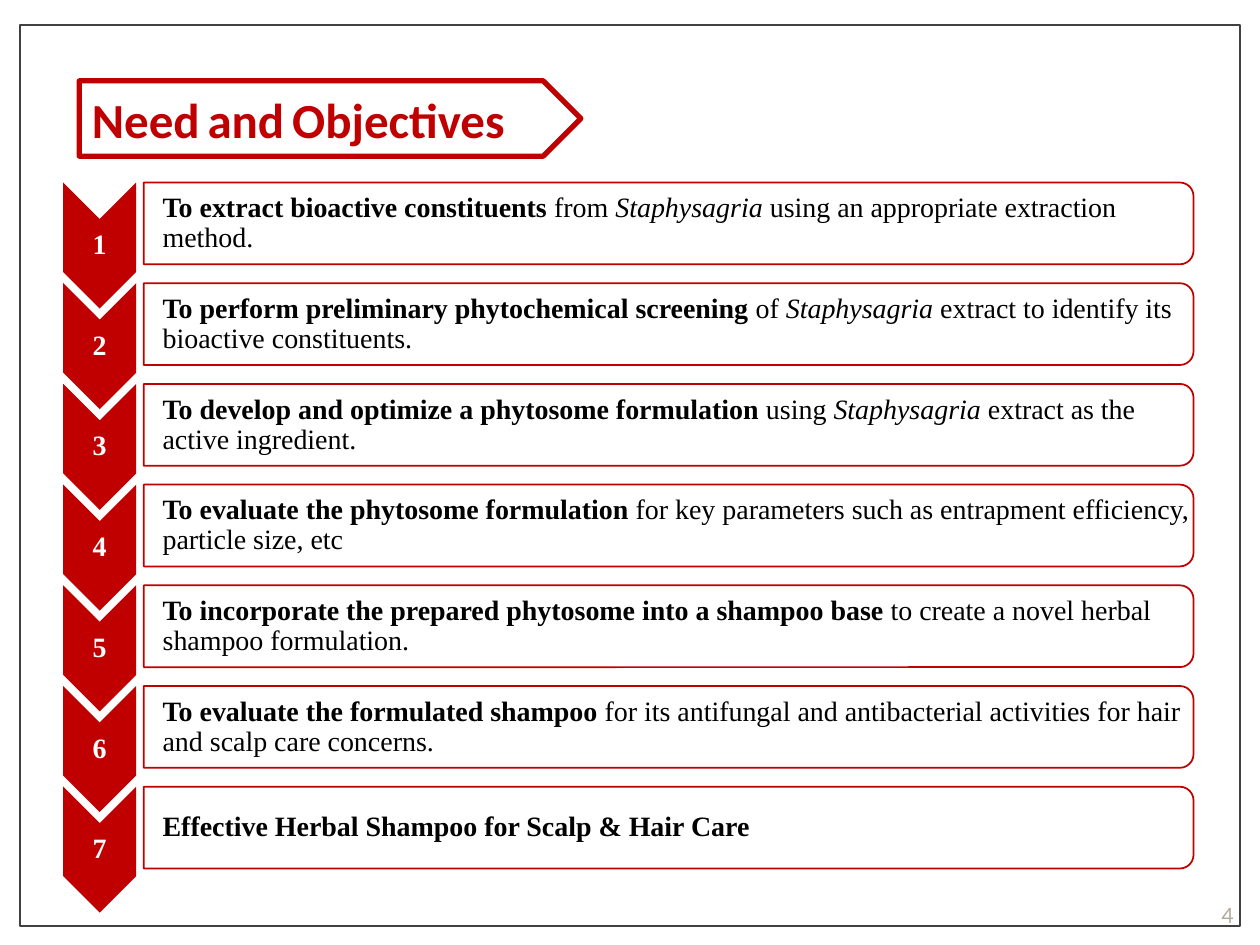
from pptx import Presentation
from pptx.util import Cm, Pt
from pptx.dml.color import RGBColor
from pptx.enum import shapes, text

# Content: (bold lead, plain text, italic species name, plain text)
TITLE = ["Need", "and", "Objectives"]
PAGE = "4"
SPECIES = "Staphysagria"
OBJECTIVES = [
    ("To extract bioactive constituents ", "from ", SPECIES,
     " using an appropriate extraction method."),
    ("To perform preliminary phytochemical screening", " of ", SPECIES,
     " extract to identify its bioactive constituents."),
    ("To develop and optimize a phytosome formulation", " using ", SPECIES,
     " extract as the active ingredient."),
    ("To evaluate the phytosome formulation",
     " for key parameters such as entrapment efficiency, particle size, etc"),
    ("To incorporate the prepared phytosome into a shampoo base",
     " to create a novel herbal shampoo formulation."),
    ("To evaluate the formulated shampoo ",
     "for its antifungal and antibacterial activities for hair and scalp care concerns."),
    ("Effective Herbal Shampoo for Scalp & Hair Care",),
]
COLORS = {"red": "C00000", "teal": "169C9A", "white": "FFFFFF",
          "black": "000000", "frame": "41423F", "page": "B1AB9E"}
SERIF = "Times New Roman"

# Layout in centimetres
PLATE = (1.6, 1.63, 10.11, 1.52)
ROW_TOP, PITCH, ROW_H = 3.68, 2.03, 1.65
CARD_LEFT, CARD_W = 2.9, 21.16
CHEVRON_W, CHEVRON_H, CHEVRON_MID = 1.47, 2.54, 2.01
CHEVRON_DROP = 1.27  # row top to chevron centre


def rgb(name):
    return RGBColor.from_string(COLORS[name])


def style(font, size, name, color, bold=None):
    font.size, font.name, font.bold = Pt(size), name, bold
    font.color.rgb = rgb(color)


def add_shape(s, kind, box, fill=None, line=None, width=1):
    sp = s.shapes.add_shape(kind, *map(Cm, box))
    sp.shadow.inherit = False
    if fill:
        sp.fill.solid()
        sp.fill.fore_color.rgb = rgb(fill)
    else:
        sp.fill.background()
    if line:
        sp.line.color.rgb = rgb(line)
        sp.line.width = Pt(width)
    else:
        sp.line.fill.background()
    return sp


def add_turned(s, kind, cx, cy, w, h, **look):
    """Shape seen as w by h around its centre, turned a quarter clockwise."""
    sp = add_shape(s, kind, (cx - h / 2, cy - w / 2, h, w), **look)
    sp.rotation = 90
    return sp


def add_text(s, box, align, left=0.05, margin=0.05):
    tf = s.shapes.add_textbox(*map(Cm, box)).text_frame
    tf.word_wrap = True
    tf.vertical_anchor = text.MSO_ANCHOR.MIDDLE
    tf.margin_left = Cm(left)
    tf.margin_top = tf.margin_right = tf.margin_bottom = Cm(margin)
    p = tf.paragraphs[0]
    p.alignment = align
    return p


def add_objective(s, i, parts):
    top = ROW_TOP + i * PITCH
    mid = top + CHEVRON_DROP

    # Numbered chevron
    add_turned(s, shapes.MSO_SHAPE.CHEVRON, CHEVRON_MID, mid,
               CHEVRON_W, CHEVRON_H, fill="red")
    p = add_text(s, (CHEVRON_MID - 0.55, mid - 0.38, 1.1, 0.76), text.PP_ALIGN.CENTER)
    p.line_spacing = 0.9
    p.add_run().text = str(i + 1)
    style(p.font, 16, SERIF, "white", True)

    # Outlined card and its wording
    add_turned(s, shapes.MSO_SHAPE.ROUND_2_SAME_RECTANGLE, CARD_LEFT + CARD_W / 2,
               top + ROW_H / 2, CARD_W, ROW_H, line="red")
    p = add_text(s, (2.72, top + 0.08, 21.34, 1.5), text.PP_ALIGN.LEFT, left=0.56)
    p.line_spacing = 0.9
    style(p.font, 16, SERIF, "black")
    for j, part in enumerate(parts):
        r = p.add_run()
        r.text = part
        if j == 0:
            r.font.bold = True
        if part == SPECIES:
            r.font.italic = True


def add_title(s):
    add_shape(s, shapes.MSO_SHAPE.PENTAGON, PLATE, fill="white", line="red", width=3)
    sp = s.shapes.title
    s.shapes._spTree.append(sp._element)  # bring in front of the plate
    sp.left, sp.top, sp.width, sp.height = map(Cm, PLATE)
    tf = sp.text_frame
    tf.auto_size = text.MSO_AUTO_SIZE.NONE
    tf.vertical_anchor = text.MSO_ANCHOR.MIDDLE
    p = tf.paragraphs[0]
    p.alignment = text.PP_ALIGN.LEFT
    for j, word in enumerate(TITLE):
        if j:
            r = p.add_run()
            r.text = " "
            style(r.font, 18, SERIF, "teal", True)
        r = p.add_run()
        r.text = word
        style(r.font, 28, "Calibri", "red", True)


def main():
    prs = Presentation()
    prs.slide_width, prs.slide_height = Cm(25.4), Cm(19.05)
    s = prs.slides.add_slide(prs.slide_layouts[5])

    # Page number
    p = add_text(s, (24.23, 17.93, 0.89, 1.02), text.PP_ALIGN.RIGHT, 0.25, 0.25)
    p.add_run().text = PAGE
    style(p.font, 12, "Lato", "page")

    for i, parts in enumerate(OBJECTIVES):
        add_objective(s, i, parts)

    # Page frame
    add_shape(s, shapes.MSO_SHAPE.RECTANGLE, (0.41, 0.51, 24.59, 18.16), line="frame")
    add_title(s)
    prs.save("out.pptx")


if __name__ == "__main__":
    main()
